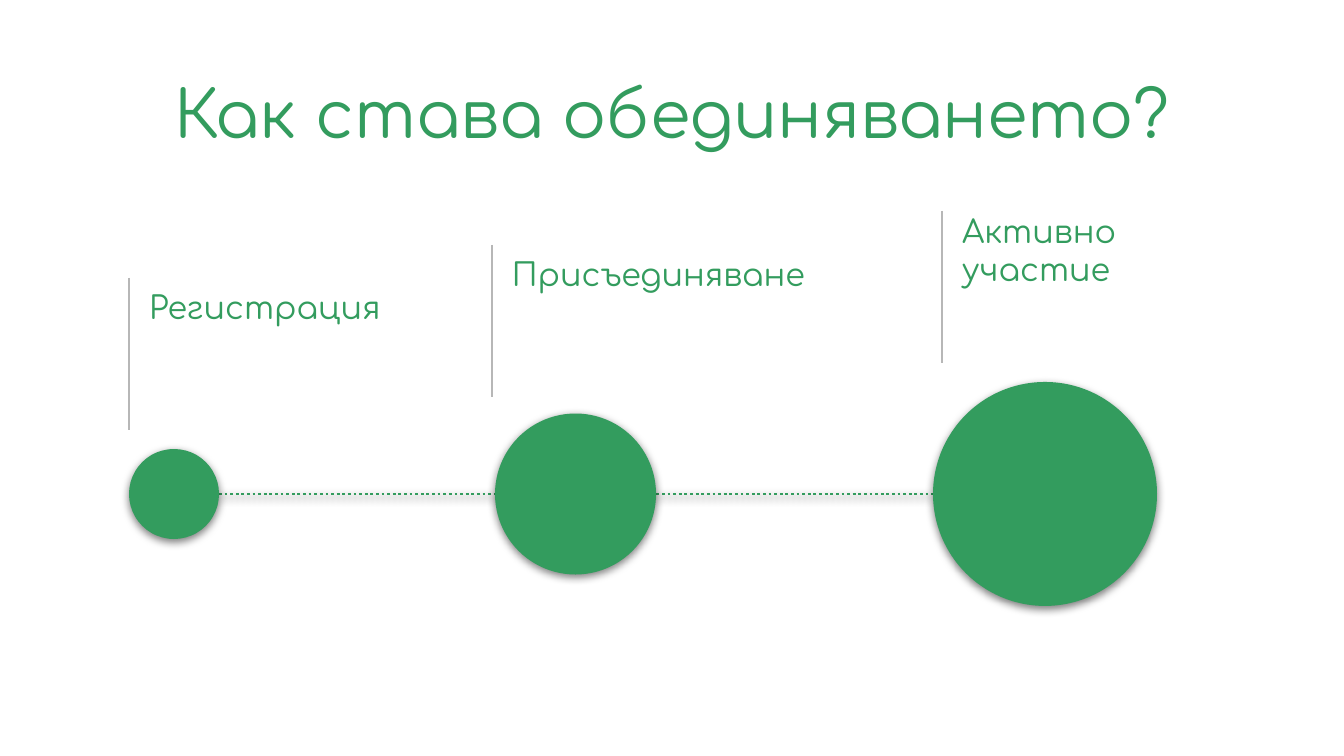
from pptx import Presentation
from pptx.dml.color import RGBColor
from pptx.enum.dml import MSO_LINE
from pptx.enum.shapes import MSO_CONNECTOR, MSO_SHAPE
from pptx.enum.text import MSO_ANCHOR, MSO_AUTO_SIZE, PP_ALIGN
from pptx.oxml import parse_xml
from pptx.oxml.ns import nsdecls
from pptx.util import Pt

EMU_PER_PX = 914400 / 134.4
COLORS = {"green": "339C5E", "gray": "B7B7B7", "white": "FFFFFF", "shadow": "000000"}
FONT = "Comfortaa"
INSET = 13


def px(length):
    return round(length * EMU_PER_PX)


def color(name):
    return RGBColor.from_string(COLORS[name])


class StepSlide:
    def __init__(self, presentation):
        self.slide = presentation.slides.add_slide(presentation.slide_layouts[5])
        background = self.slide.background.fill
        background.solid()
        background.fore_color.rgb = color("white")

    def set_text(self, shape, text, size, alignment):
        frame = shape.text_frame
        frame_format = {
            "word_wrap": True,
            "auto_size": MSO_AUTO_SIZE.NONE,
            "vertical_anchor": MSO_ANCHOR.MIDDLE,
            **{f"margin_{side}": px(INSET) for side in ("left", "top", "right", "bottom")},
        }
        for name, value in frame_format.items():
            setattr(frame, name, value)
        paragraph = frame.paragraphs[0]
        paragraph.alignment = alignment
        run = paragraph.add_run()
        run.text = text
        for name, value in {"name": FONT, "size": Pt(size)}.items():
            setattr(run.font, name, value)
        run.font.color.rgb = color("green")

    def title(self, text, left, top, width, height):
        shape = self.slide.shapes.title
        box = {"left": left, "top": top, "width": width, "height": height}
        for name, value in box.items():
            setattr(shape, name, px(value))
        self.set_text(shape, text, 35, PP_ALIGN.CENTER)

    def label(self, text, left, top, width, height):
        shape = self.slide.shapes.add_textbox(px(left), px(top), px(width), px(height))
        self.set_text(shape, text, 17, PP_ALIGN.LEFT)

    def line(self, start, end, color_name, width, dash=None, shadow=False):
        connector = self.slide.shapes.add_connector(
            MSO_CONNECTOR.STRAIGHT, *(px(value) for value in start + end))
        connector.line.color.rgb = color(color_name)
        connector.line.width = Pt(width)
        if dash:
            connector.line.dash_style = dash
        self.effects(connector, shadow)

    def circle(self, left, center_y, diameter):
        shape = self.slide.shapes.add_shape(
            MSO_SHAPE.OVAL, px(left), px(center_y - diameter / 2), px(diameter), px(diameter))
        shape.fill.solid()
        shape.fill.fore_color.rgb = color("green")
        shape.line.fill.background()
        self.effects(shape, True)

    def effects(self, shape, shadow):
        outer_shadow = (
            f'<a:outerShdw blurRad="{Pt(4.5)}" dist="{Pt(1.5)}" dir="5400000" '
            f'algn="bl" rotWithShape="0"><a:srgbClr val="{COLORS["shadow"]}">'
            '<a:alpha val="50000"/></a:srgbClr></a:outerShdw>') if shadow else ""
        shape._element.spPr.append(
            parse_xml(f'<a:effectLst {nsdecls("a")}>{outer_shadow}</a:effectLst>'))


def main():
    presentation = Presentation()
    presentation.slide_width, presentation.slide_height = px(1344), px(756)
    page = StepSlide(presentation)
    page.title("Как става обединяването?", 89, 40, 1167, 144)

    # Step labels, each beside a vertical guide
    guide_height, label_gap = 152, 7
    steps = [
        ("Регистрация", 129, 278, 266, 58),
        ("Присъединяване", 492, 245, 336, 58),
        ("Активно участие", 942, 211, 266, 78),
    ]
    for text, left, top, width, height in steps:
        page.line((left, top), (left, top + guide_height), "gray", 0.75)
        page.label(text, left + label_gap, top, width, height)

    # Growing circles on a dotted axis
    axis_y = 494
    circles = [(129, 90), (495, 161), (933, 224)]
    first_left, first_diameter = circles[0]
    page.line((first_left + first_diameter, axis_y), (circles[-1][0], axis_y),
              "green", 1.5, MSO_LINE.ROUND_DOT, shadow=True)
    for left, diameter in circles:
        page.circle(left, axis_y, diameter)

    presentation.save("out.pptx")


if __name__ == "__main__":
    main()
